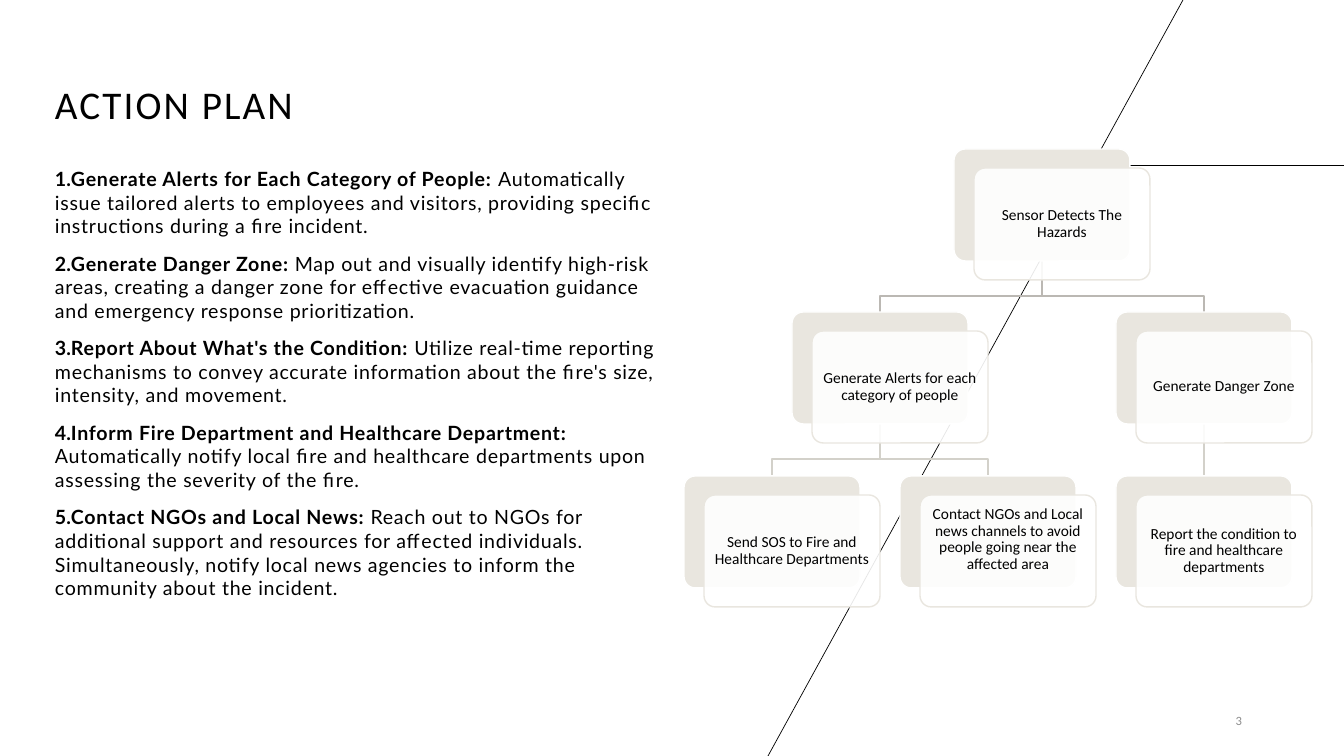
"""Build the action plan slide with its alert flow chart."""
from dataclasses import dataclass
from typing import Any, Optional

from lxml.etree import SubElement
from pptx import Presentation
from pptx.dml.color import RGBColor
from pptx.enum.shapes import MSO_CONNECTOR as Link, MSO_SHAPE as Shape
from pptx.enum.text import MSO_ANCHOR as Anchor, PP_ALIGN as Align
from pptx.oxml.ns import qn
from pptx.util import Pt

WIDE, HIGH = 1344, 756
SCALE = 12192000 / WIDE
BLACK = RGBColor(0x00, 0x00, 0x00)
WHITE = RGBColor(0xFF, 0xFF, 0xFF)
GREY = RGBColor(0x8C, 0x8C, 0x8C)
SAND = RGBColor(0xE9, 0xE6, 0xDF)
STONE = RGBColor(0xBB, 0xB8, 0xB3)
PALE = RGBColor(0xD3, 0xD1, 0xCA)
CARD_W, CARD_H, BEND = 176, 112, 35
SHIFT_X, SHIFT_Y, PAD = 20, 19, 5

HEAD = {"size": Pt(28), "name": "Calibri"}
BODY = {"size": Pt(14), "name": "Lato"}
SMALL = {"size": Pt(11), "name": "Calibri"}
FOOT = {"size": Pt(9), "name": "Calibri"}


@dataclass(frozen=True)
class Node:
    """A card of the flow chart, placed on a grid of half steps."""
    text: str
    col: int
    row: int
    boss: Optional[int] = None
    lift: int = 0

    @property
    def left(self) -> int:
        return 684 + 54 * self.col

    @property
    def top(self) -> int:
        return 149 + 327 * self.row // 2

    @property
    def mid(self) -> int:
        return self.left + CARD_W // 2


@dataclass(frozen=True)
class Step:
    """A numbered step with a bold lead."""
    lead: str
    text: str


NODES = [
    Node("Sensor Detects The Hazards", 5, 0),
    Node("Generate Alerts for each category of people", 2, 1, 0),
    Node("Send SOS to Fire and Healthcare Departments", 0, 2, 1),
    Node("Contact NGOs and Local news channels to avoid people going near "
         "the affected area", 4, 2, 1, 23),
    Node("Generate Danger Zone", 8, 1, 0),
    Node("Report the condition to fire and healthcare departments", 8, 2, 4),
]
STEPS = [
    Step("Generate Alerts for Each Category of People: ",
         "Automatically issue tailored alerts to employees and visitors, "
         "providing specific instructions during a fire incident."),
    Step("Generate Danger Zone: ",
         "Map out and visually identify high-risk areas, creating a danger zone "
         "for effective evacuation guidance and emergency response prioritization."),
    Step("Report About What's the Condition: ",
         "Utilize real-time reporting mechanisms to convey accurate information "
         "about the fire's size, intensity, and movement."),
    Step("Inform Fire Department and Healthcare Department: ",
         "Automatically notify local fire and healthcare departments upon "
         "assessing the severity of the fire."),
    Step("Contact NGOs and Local News: ",
         "Reach out to NGOs for additional support and resources for affected "
         "individuals. Simultaneously, notify local news agencies to inform the "
         "community about the incident."),
]


def px(size: int) -> int:
    """Turn px into EMU."""
    return round(size * SCALE)


def tune(item: Any, form: dict[str, Any]) -> None:
    """Set each format value on the item."""
    for key, value in form.items():
        setattr(item, key, value)


def write(para: Any, text: str, form: dict[str, Any],
          color: RGBColor = BLACK, track: int = 0) -> None:
    """Add a run, tracked in hundredths of a point."""
    run = para.add_run()
    run.text = text
    tune(run.font, form)
    run.font.color.rgb = color
    if track:
        run._r.get_or_add_rPr().set("spc", str(track))


def add_box(slide: Any, left: int, top: int, wide: int, high: int,
            anchor: Anchor = Anchor.TOP) -> Any:
    """Add a wrapped text box and return its frame."""
    frame = slide.shapes.add_textbox(*map(px, (left, top, wide, high))).text_frame
    tune(frame, {"word_wrap": True, "vertical_anchor": anchor})
    return frame


def add_line(slide: Any, ends: tuple[int, int, int, int],
             color: RGBColor, width: float) -> Any:
    """Add a straight line without a shadow."""
    line = slide.shapes.add_connector(Link.STRAIGHT, *map(px, ends))
    line.line.color.rgb = color
    line.line.width = Pt(width)
    SubElement(line._element.spPr, qn("a:effectLst"))
    return line


def add_bend(slide: Any, boss: Node, node: Node, color: RGBColor) -> None:
    """Add a stepped link from a card down to the next row."""
    start = boss.top + CARD_H
    path = slide.shapes.build_freeform(boss.mid, start, scale=SCALE)
    path.add_line_segments([(boss.mid, start + BEND), (node.mid, start + BEND),
                            (node.mid, node.top)], close=False)
    bend = path.convert_to_shape()
    bend.shadow.inherit = False
    bend.fill.background()
    bend.line.color.rgb = color
    bend.line.width = Pt(1)


def add_plate(slide: Any, left: int, top: int, fill: RGBColor, edge: RGBColor) -> Any:
    """Add one rounded plate of a card."""
    plate = slide.shapes.add_shape(Shape.ROUNDED_RECTANGLE,
                                   *map(px, (left, top, CARD_W, CARD_H)))
    plate.adjustments[0] = 0.1
    plate.shadow.inherit = False
    plate.fill.solid()
    plate.fill.fore_color.rgb = fill
    plate.line.color.rgb = edge
    plate.line.width = Pt(1)
    return plate


def add_card(slide: Any, node: Node) -> Any:
    """Add a card and return its back plate."""
    back = add_plate(slide, node.left, node.top, SAND, WHITE)
    front = add_plate(slide, node.left + SHIFT_X, node.top + SHIFT_Y, WHITE, SAND)
    tint = front._element.spPr.find(qn("a:solidFill")).find(qn("a:srgbClr"))
    SubElement(tint, qn("a:alpha")).set("val", "90000")
    frame = front.text_frame
    tune(frame, {"word_wrap": True, "vertical_anchor": Anchor.MIDDLE,
                 "margin_left": px(PAD), "margin_right": px(PAD),
                 "margin_top": px(PAD), "margin_bottom": px(PAD + node.lift)})
    para = frame.paragraphs[0]
    tune(para, {"alignment": Align.CENTER, "line_spacing": 0.9})
    write(para, node.text, SMALL)
    return back


def add_chart(slide: Any) -> None:
    """Add the links and then the cards above them."""
    joins = []
    for spot, node in enumerate(NODES):
        if node.boss is None:
            continue
        boss = NODES[node.boss]
        color = PALE if boss.row else STONE
        if boss.col == node.col:
            ends = (boss.mid, boss.top + CARD_H, node.mid, node.top)
            joins.append((add_line(slide, ends, color, 1), node.boss, spot))
        else:
            add_bend(slide, boss, node, color)
    cards = [add_card(slide, node) for node in NODES]
    for line, boss, spot in joins:
        line.begin_connect(cards[boss], 2)
        line.end_connect(cards[spot], 0)


def add_steps(slide: Any) -> None:
    """Add the numbered steps."""
    frame = add_box(slide, 45, 162, 627, 538)
    for spot, step in enumerate(STEPS):
        para = frame.add_paragraph() if spot else frame.paragraphs[0]
        props = para._p.get_or_add_pPr()
        tune(para, {"space_before": Pt(10 if spot else 0)})
        props.set("marL", "0")
        props.set("indent", "0")
        SubElement(props, qn("a:buAutoNum")).set("type", "arabicPeriod")
        write(para, step.lead, BODY | {"bold": True}, track=50)
        write(para, step.text, BODY | {"bold": False}, track=50)


def main() -> None:
    """Build and save the slide."""
    deck = Presentation()
    tune(deck, {"slide_width": px(WIDE), "slide_height": px(HIGH)})
    slide = deck.slides.add_slide(deck.slide_layouts[6])
    for ends in ((1003, 165, WIDE, 165), (1183, 0, 768, HIGH)):
        add_line(slide, ends, BLACK, 0.5)
    title = add_box(slide, 45, 0, 563, 133, Anchor.BOTTOM).paragraphs[0]
    title.line_spacing = 0.9
    write(title, "ACTION PLAN", HEAD, track=150)
    page = add_box(slide, 950, 701, 302, 40, Anchor.MIDDLE).paragraphs[0]
    page.alignment = Align.RIGHT
    write(page, "3", FOOT, GREY)
    add_steps(slide)
    add_chart(slide)
    deck.save("out.pptx")


if __name__ == "__main__":
    main()
